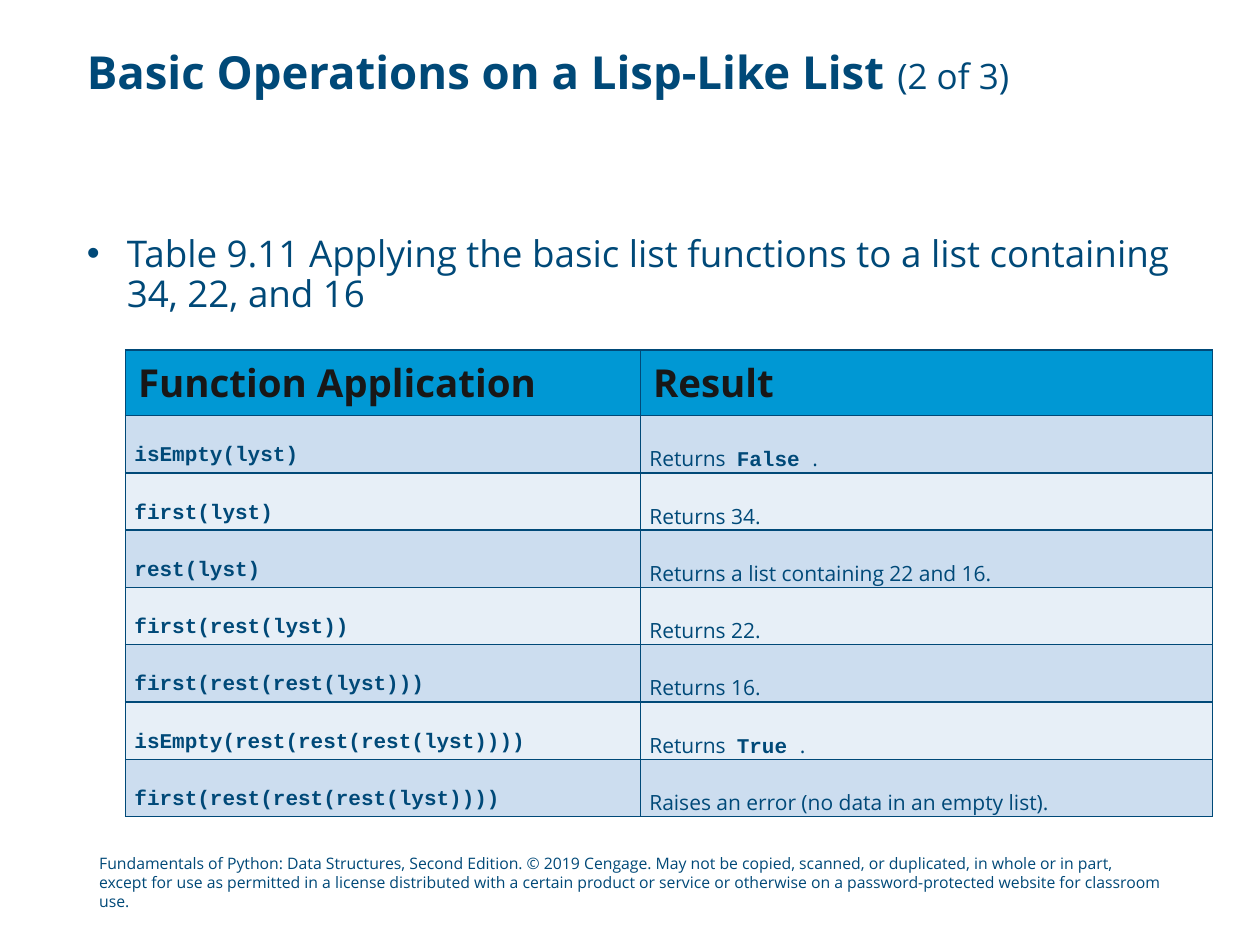
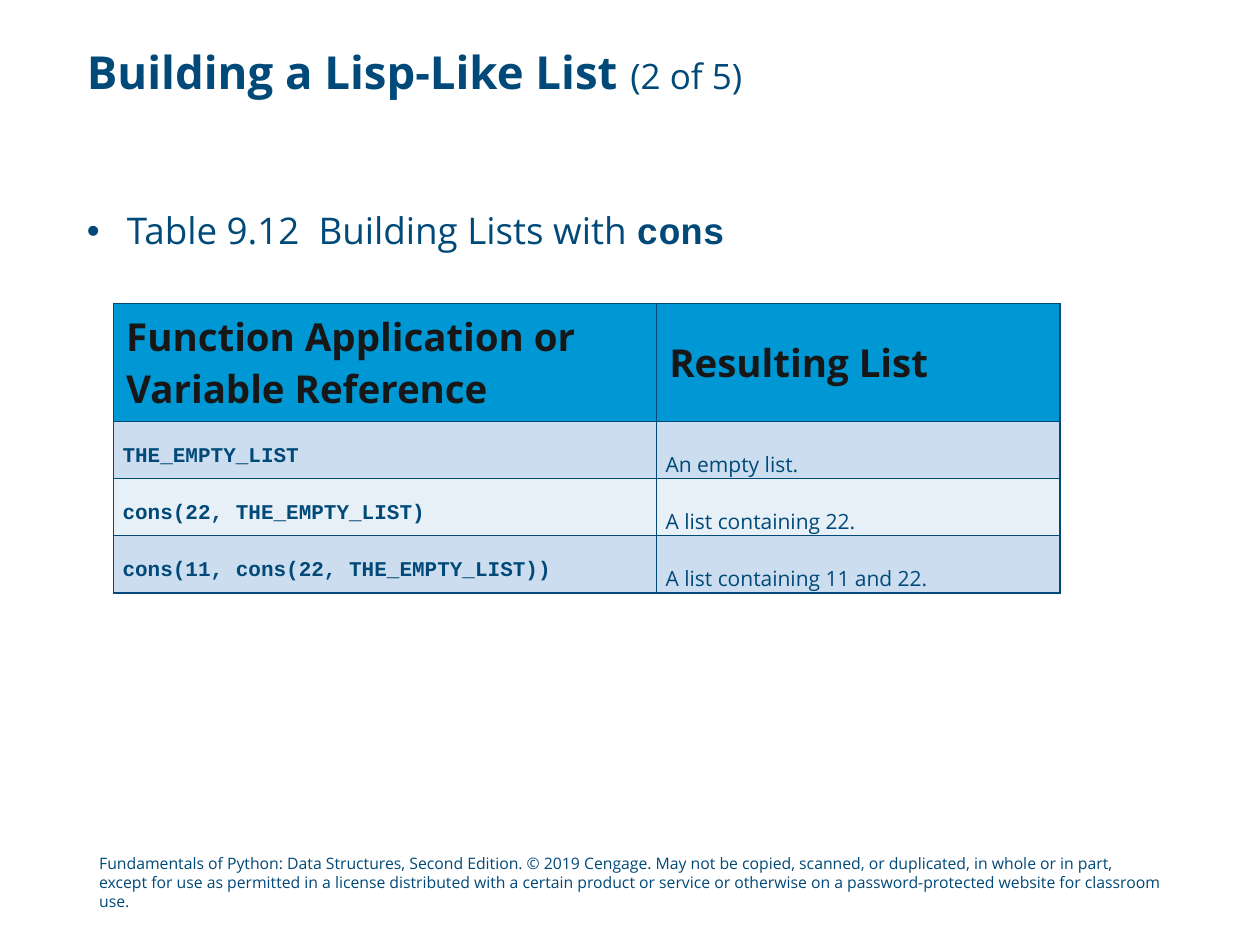
from dataclasses import dataclass

from lxml import etree
from pptx import Presentation
from pptx.dml.color import RGBColor
from pptx.enum.text import MSO_ANCHOR, MSO_AUTO_SIZE, PP_ALIGN
from pptx.oxml.ns import qn
from pptx.util import Cm, Pt

TOP, MIDDLE = MSO_ANCHOR.TOP, MSO_ANCHOR.MIDDLE
LEFT = PP_ALIGN.LEFT
NO_FIT = MSO_AUTO_SIZE.NONE


@dataclass(frozen=True)
class Theme:
    text_font: str = "Open Sans"
    code_font: str = "Courier New"
    navy: str = "004978"
    black: str = "181717"
    header_fill: str = "0098D4"
    band_fills: tuple = ("CCDDEF", "E7EFF7")
    title_size: int = 26
    part_size: int = 20
    caption_size: int = 21
    header_size: int = 22
    cell_size: int = 12
    footer_size: int = 9
    border: int = 1


theme = Theme()

# Shared layout, in centimetres
MARGIN_LEFT, CONTENT_WIDTH = 1.75, 21.9
TITLE_TOP = 1.02
FOOTER_TOP, FOOTER_HEIGHT = 17.09, 1.02
BULLET_INDENT = 0.81
ROW_HEIGHT = 1.03
CELL_MARGIN = 0.18

FOOTER = (
    "Fundamentals of Python: Data Structures, Second Edition. © 2019 Cengage. "
    "May not be copied, scanned, or duplicated, in whole or in part, except for use "
    "as permitted in a license distributed with a certain product or service or "
    "otherwise on a password-protected website for classroom use."
)

# Mixed text is a list of pieces; every second piece is code
PAGES = [
    {
        "title": "Basic Operations on a Lisp-Like List ",
        "part": "(2 of 3)",
        "title_height": 1.73,
        "caption": ["Table 9.11 Applying the basic list functions to a list "
                    "containing 34, 22, and 16"],
        "caption_top": 4.75,
        "caption_height": 1.9,
        "table_left": 2.53,
        "table_top": 7.06,
        "columns": (10.38, 11.53),
        "anchor": MIDDLE,
        "header": ("Function Application", "Result"),
        "rows": [
            ("isEmpty(lyst)", ["Returns  ", "False ", "."]),
            ("first(lyst)", ["Returns 34."]),
            ("rest(lyst)", ["Returns a list containing 22 and 16."]),
            ("first(rest(lyst))", ["Returns 22."]),
            ("first(rest(rest(lyst)))", ["Returns 16."]),
            ("isEmpty(rest(rest(rest(lyst))))", ["Returns  ", "True ", "."]),
            ("first(rest(rest(rest(lyst))))",
             ["Raises an error (no data in an empty list)."]),
        ],
    },
    {
        "title": "Building a Lisp-Like List ",
        "part": "(2 of 5)",
        "title_height": 1.32,
        "caption": ["Table 9.12  Building Lists with ", "cons"],
        "caption_top": 4.29,
        "caption_height": 1.07,
        "table_left": 2.29,
        "table_top": 6.12,
        "columns": (10.95, 8.13),
        "anchor": TOP,
        "header": ("Function Application or Variable Reference", "Resulting List"),
        "rows": [
            ("THE_EMPTY_LIST", ["An empty list."]),
            ("cons(22, THE_EMPTY_LIST)", ["A list containing 22."]),
            ("cons(11, cons(22, THE_EMPTY_LIST))", ["A list containing 11 and 22."]),
        ],
    },
]


def add_text(para, text, size, color=theme.navy, bold=False, code=False):
    """Append text to a paragraph; code is set bold in the code font."""
    span = para.add_run()
    span.text = text
    span.font.size = Pt(size)
    span.font.name = theme.code_font if code else theme.text_font
    span.font.bold = bold or code
    span.font.color.rgb = RGBColor.from_string(color)


def place(box, top, height):
    """Put a placeholder in the content column and return its paragraph."""
    box.left, box.top = Cm(MARGIN_LEFT), Cm(top)
    box.width, box.height = Cm(CONTENT_WIDTH), Cm(height)
    frame = box.text_frame
    frame.auto_size, frame.word_wrap = NO_FIT, True
    frame.vertical_anchor = TOP
    frame.margin_left = frame.margin_right = frame.margin_top = frame.margin_bottom = 0
    para = frame.paragraphs[0]
    para.alignment, para.line_spacing, para.space_before = LEFT, 0.9, Pt(0)
    return para


deck = Presentation()
deck.slide_width, deck.slide_height = Cm(25.4), Cm(19.05)

for page in PAGES:
    slide = deck.slides.add_slide(deck.slide_layouts[1])

    # Title
    para = place(slide.shapes.title, TITLE_TOP, page["title_height"])
    add_text(para, page["title"], theme.title_size, bold=True)
    add_text(para, page["part"], theme.part_size)

    # Bulleted caption
    para = place(slide.placeholders[1], page["caption_top"], page["caption_height"])
    props = para._p.get_or_add_pPr()
    props.set("marL", str(Cm(BULLET_INDENT)))
    props.set("indent", str(-Cm(BULLET_INDENT)))
    etree.SubElement(props, qn("a:buFont")).set("typeface", "Arial")
    etree.SubElement(props, qn("a:buChar")).set("char", "•")
    for index, piece in enumerate(page["caption"]):
        add_text(para, piece, theme.caption_size, code=index % 2 == 1)

    # Table grid
    row_count = len(page["rows"]) + 1
    table = slide.shapes.add_table(
        row_count, 2, Cm(page["table_left"]), Cm(page["table_top"]),
        Cm(sum(page["columns"])), Cm(ROW_HEIGHT * row_count)).table
    for column, width in zip(table.columns, page["columns"]):
        column.width = Cm(width)
    for row in table.rows:
        row.height = Cm(ROW_HEIGHT)

    # Table borders
    for cell in table.iter_cells():
        cell_props = cell._tc.get_or_add_tcPr()
        for side in ("a:lnL", "a:lnR", "a:lnT", "a:lnB"):
            line = etree.SubElement(cell_props, qn(side), w=str(Pt(theme.border)))
            fill = etree.SubElement(line, qn("a:solidFill"))
            etree.SubElement(fill, qn("a:srgbClr"), val=theme.navy)

    # Header row
    for cell, heading in zip(table.rows[0].cells, page["header"]):
        cell.fill.solid()
        cell.fill.fore_color.rgb = RGBColor.from_string(theme.header_fill)
        cell.vertical_anchor = MIDDLE
        add_text(cell.text_frame.paragraphs[0], heading, theme.header_size,
                 color=theme.black, bold=True)

    # Body rows: code on the left, its result on the right
    for row_index, (call, result) in enumerate(page["rows"]):
        cells = table.rows[row_index + 1].cells
        for cell in cells:
            cell.fill.solid()
            cell.fill.fore_color.rgb = RGBColor.from_string(theme.band_fills[row_index % 2])
            cell.vertical_anchor = page["anchor"]
            cell.margin_left = cell.margin_right = Cm(CELL_MARGIN)
            cell.margin_top = cell.margin_bottom = 0
            cell.text_frame.paragraphs[0].line_spacing = 2.0
        add_text(cells[0].text_frame.paragraphs[0], call, theme.cell_size, code=True)
        for index, piece in enumerate(result):
            add_text(cells[1].text_frame.paragraphs[0], piece, theme.cell_size,
                     code=index % 2 == 1)

    # Copyright footer
    footer = slide.shapes.add_textbox(
        Cm(MARGIN_LEFT), Cm(FOOTER_TOP), Cm(CONTENT_WIDTH), Cm(FOOTER_HEIGHT))
    footer.text_frame.word_wrap = True
    add_text(footer.text_frame.paragraphs[0], FOOTER, theme.footer_size)

deck.save("out.pptx")
